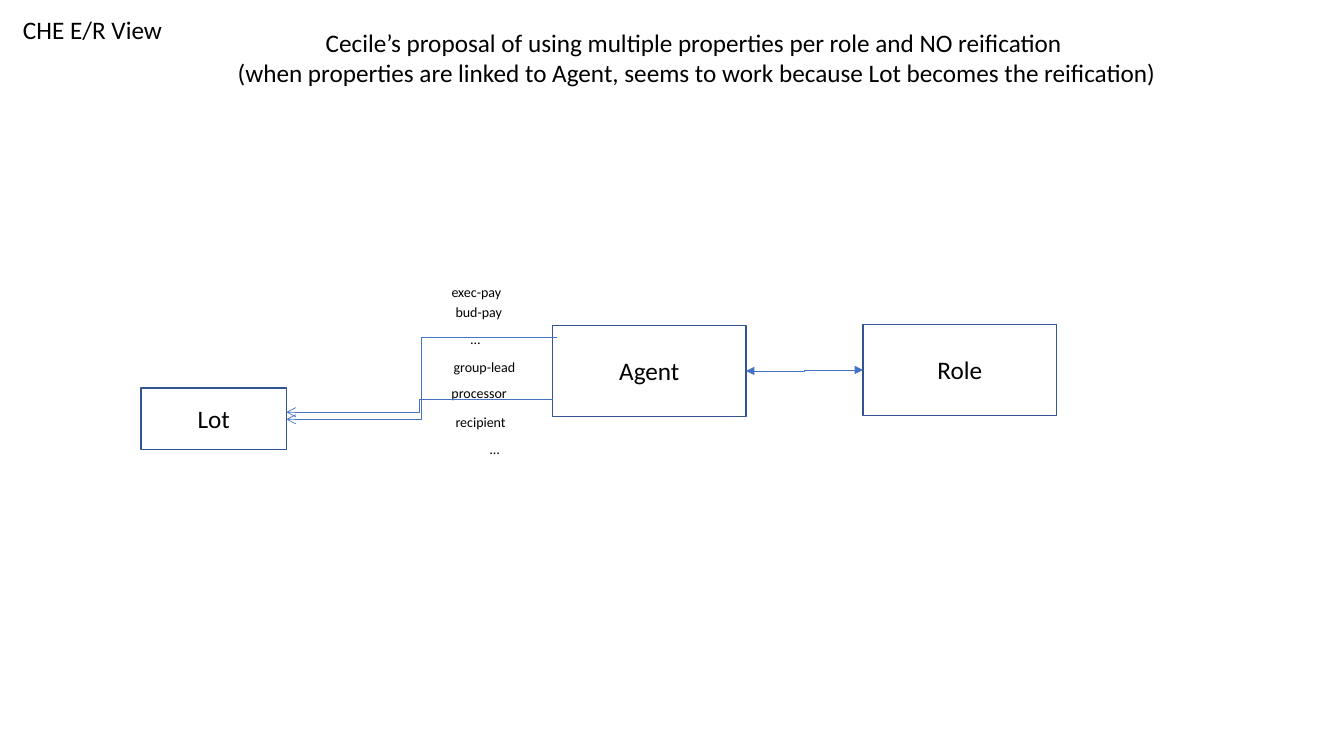
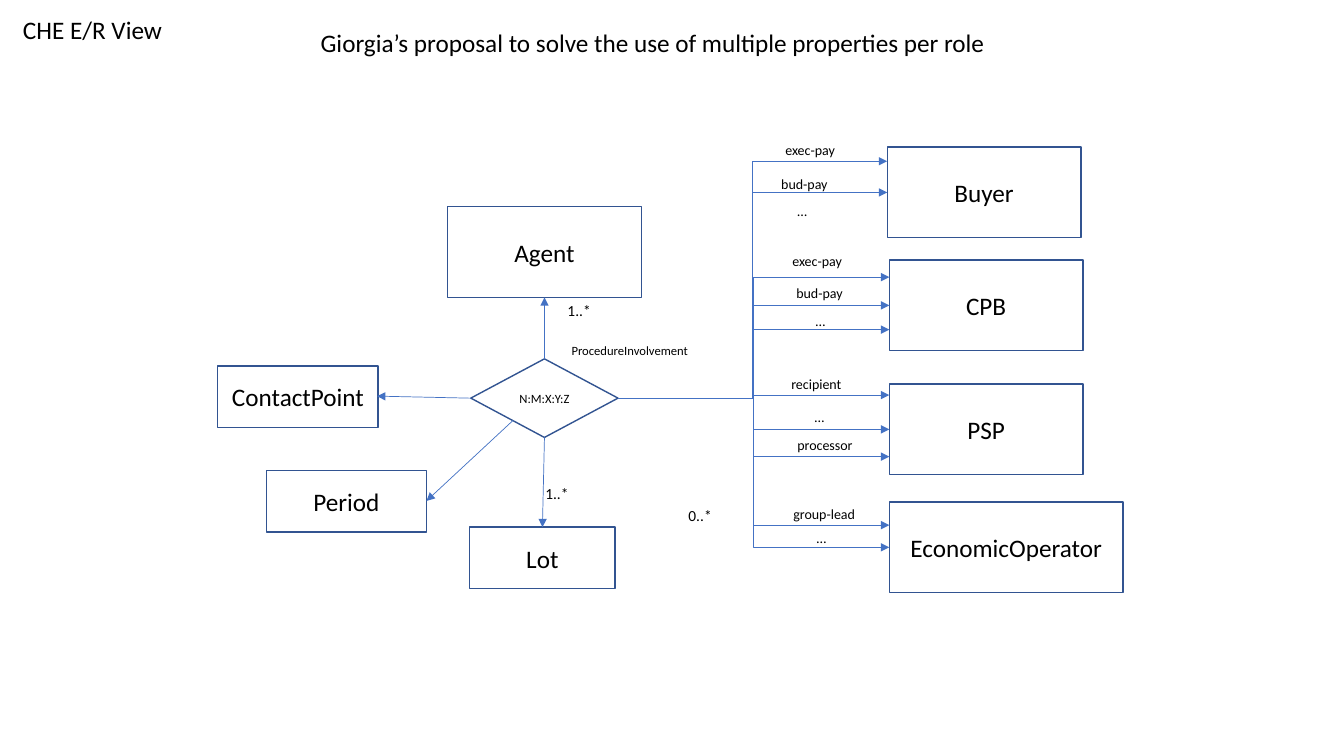
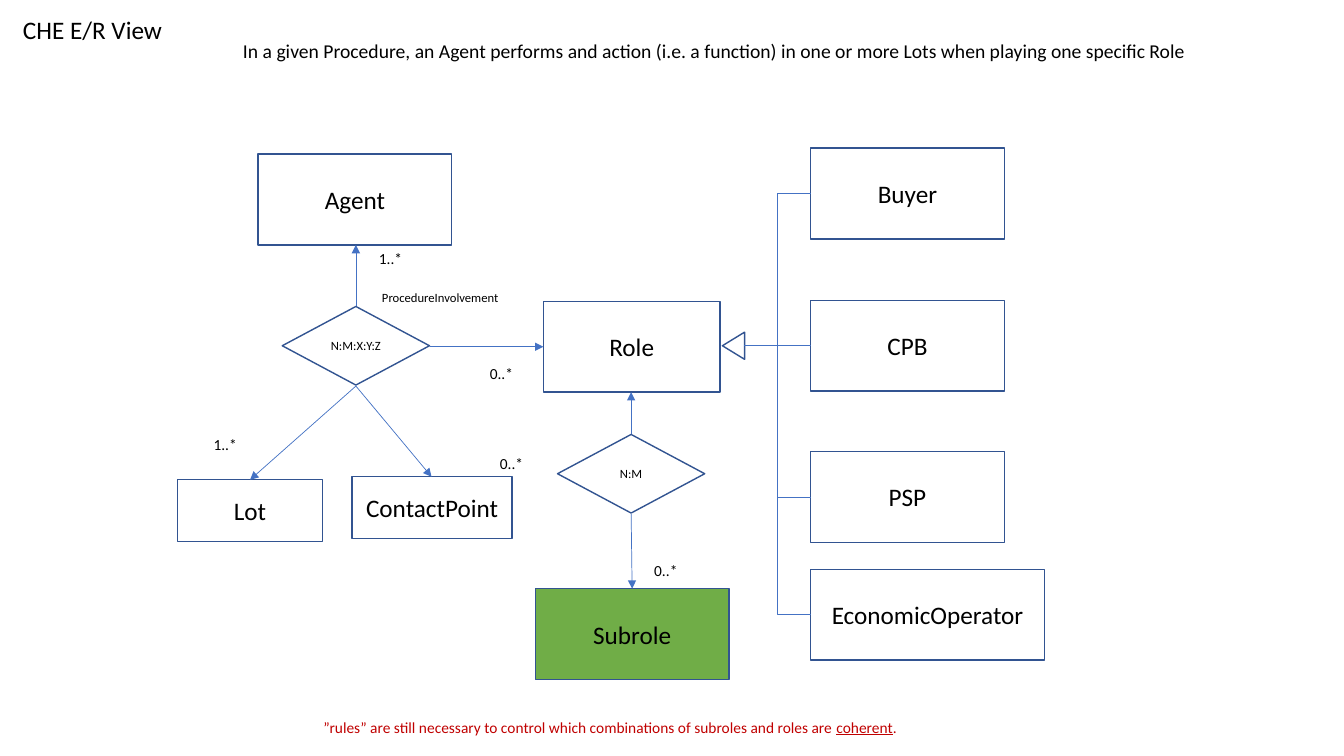
from pptx import Presentation
from pptx.dml.color import RGBColor
from pptx.enum.shapes import MSO_CONNECTOR as CONN, MSO_SHAPE as SHAPE
from pptx.enum.text import MSO_ANCHOR as ANCHOR, MSO_AUTO_SIZE as AUTO, PP_ALIGN as ALIGN
from pptx.oxml.ns import qn
from pptx.util import Inches, Pt
from lxml.etree import SubElement

BLACK = RGBColor(0x00, 0x00, 0x00)
OUTLINE = RGBColor(0x32, 0x54, 0x91)
LINK = RGBColor(0x44, 0x72, 0xC4)
GREEN = RGBColor(0x70, 0xAD, 0x47)
RED = RGBColor(0xC0, 0x00, 0x00)

FONT = "Calibri"
BOX_W, BOX_H, SMALL_H = 1.92, 0.9, 0.61
LOT_W, CONTACT_W, OPERATOR_W = 1.44, 1.59, 2.32
DIAMOND_W, DIAMOND_H = 1.46, 0.78
LABEL_HEIGHTS = {9: 0.25, 10: 0.27, 11: 0.29, 18: 0.4}
LABEL_WIDTHS = {
    "…": 0.31, "recipient": 0.71, "processor": 0.76, "group-lead": 0.82,
    "exec-pay": 0.71, "bud-pay": 0.67, "1..*": 0.44, "0..*": 0.44,
    "ProcedureInvolvement": 1.38, "CHE E/R View": 1.6,
}


def style(p, size, color=BLACK, align=ALIGN.LEFT):
    p.alignment = align
    p.font.name = FONT
    p.font.size = Pt(size)
    p.font.color.rgb = color


def add_label(slide, text, left, top, size=10):
    sp = slide.shapes.add_textbox(Inches(left), Inches(top),
                                  Inches(LABEL_WIDTHS[text]), Inches(LABEL_HEIGHTS[size]))
    tf = sp.text_frame
    tf.word_wrap = False
    tf.auto_size = AUTO.SHAPE_TO_FIT_TEXT
    tf.text = text
    style(tf.paragraphs[0], size)


def add_node(slide, text, left, top, width=BOX_W, height=BOX_H,
             kind=SHAPE.RECTANGLE, size=18, fill=None):
    sp = slide.shapes.add_shape(kind, Inches(left), Inches(top), Inches(width), Inches(height))
    sp.shadow.inherit = False
    if fill is None:
        sp.fill.background()
    else:
        sp.fill.solid()
        sp.fill.fore_color.rgb = fill
    sp.line.color.rgb = OUTLINE
    sp.line.width = Pt(1)
    if text:
        sp.text_frame.text = text
        style(sp.text_frame.paragraphs[0], size, align=ALIGN.CENTER)
    return sp


def add_diamond(slide, text, left, top):
    add_node(slide, text, left, top, DIAMOND_W, DIAMOND_H, SHAPE.DIAMOND, 9)


def add_link(slide, start, end, kind=CONN.STRAIGHT, head=None, tail="triangle"):
    c = slide.shapes.add_connector(kind, *map(Inches, start + end))
    c.line.color.rgb = LINK
    c.line.width = Pt(0.5)
    ln = c.line._ln
    for tag, arrow in (("a:headEnd", head), ("a:tailEnd", tail)):
        if arrow:
            SubElement(ln, qn(tag)).set("type", arrow)
    SubElement(c._element.spPr, qn("a:effectLst"))


def add_slide(prs, lines, left, top, width, height, size=18, align=ALIGN.LEFT):
    slide = prs.slides.add_slide(prs.slide_layouts[5])
    title = slide.shapes.title
    title.left, title.top = Inches(left), Inches(top)
    title.width, title.height = Inches(width), Inches(height)
    tf = title.text_frame
    tf.word_wrap = False
    tf.auto_size = AUTO.SHAPE_TO_FIT_TEXT
    tf.vertical_anchor = ANCHOR.TOP
    tf.text = "\n".join(lines)
    for p in tf.paragraphs:
        style(p, size, align=align)
    add_label(slide, "CHE E/R View", 0.13, 0.09, 18)
    return slide


def build_multiple_properties(prs):
    slide = add_slide(prs, [
        "Cecile’s proposal of using multiple properties per role and NO reification ",
        "(when properties are linked to Agent, seems to work because Lot becomes the reification)",
    ], 2.2, 0.22, 9.42, 0.71, align=ALIGN.CENTER)
    for text, left, top in (
        ("exec-pay", 4.38, 2.76), ("bud-pay", 4.42, 2.96), ("…", 4.57, 3.23),
        ("group-lead", 4.4, 3.51), ("processor", 4.38, 3.77),
        ("recipient", 4.42, 4.05), ("…", 4.76, 4.32),
    ):
        add_label(slide, text, left, top)
    add_node(slide, "Agent", 5.48, 3.23)
    add_node(slide, "Role", 8.56, 3.22)
    add_node(slide, "Lot", 1.4, 3.85, LOT_W, SMALL_H)
    for start, end in (((2.84, 4.16), (5.52, 3.35)), ((2.84, 4.09), (5.48, 3.96))):
        add_link(slide, start, end, CONN.ELBOW, head="arrow", tail=None)
    add_link(slide, (8.56, 3.67), (7.4, 3.68), CONN.ELBOW, head="triangle")


def build_role_properties(prs):
    slide = add_slide(prs, [
        "Giorgia’s proposal to solve the use of multiple properties per role ",
    ], 3.08, 0.22, 7.18, 0.4)
    add_node(slide, "Agent", 4.44, 2.05)
    add_node(slide, "Lot", 4.66, 5.23, LOT_W, SMALL_H)
    add_node(slide, "ContactPoint", 2.16, 3.63, CONTACT_W, SMALL_H)
    add_node(slide, "Period", 2.64, 4.67, CONTACT_W, SMALL_H)
    add_diamond(slide, "N:M:X:Y:Z", 4.67, 3.56)
    for start, end in (
        ((5.4, 4.34), (5.38, 5.23)), ((5.4, 3.56), (5.4, 2.95)),
        ((4.67, 3.95), (3.74, 3.93)), ((5.09, 4.17), (4.23, 4.97)),
    ):
        add_link(slide, start, end)
    for role, left, top, width, arrow_ys in (
        ("Buyer", 8.8, 1.46, BOX_W, (1.6, 1.91)),
        ("CPB", 8.82, 2.58, BOX_W, (2.75, 3.03, 3.27)),
        ("PSP", 8.82, 3.81, BOX_W, (3.92, 4.26, 4.53)),
        ("EconomicOperator", 8.82, 4.98, OPERATOR_W, (5.21, 5.43)),
    ):
        add_node(slide, role, left, top, width)
        for y in arrow_ys:
            add_link(slide, (6.13, 3.95), (left, y), CONN.ELBOW)
    for text, left, top in (
        ("exec-pay", 7.69, 1.35), ("bud-pay", 7.65, 1.69), ("…", 7.81, 1.96),
        ("exec-pay", 7.76, 2.46), ("bud-pay", 7.8, 2.77), ("…", 7.99, 3.05),
        ("recipient", 7.75, 3.68), ("…", 7.98, 4), ("processor", 7.81, 4.28),
        ("group-lead", 7.77, 4.97), ("…", 8, 5.2),
    ):
        add_label(slide, text, left, top)
    for text, left, top in (("1..*", 5.31, 4.75), ("1..*", 5.53, 2.94), ("0..*", 6.73, 4.97)):
        add_label(slide, text, left, top, 11)
    add_label(slide, "ProcedureInvolvement", 5.57, 3.35, 9)


def add_rules_note(slide):
    sp = slide.shapes.add_textbox(Inches(3.11), Inches(7.07), Inches(5.93), Inches(0.29))
    tf = sp.text_frame
    tf.word_wrap = False
    tf.auto_size = AUTO.SHAPE_TO_FIT_TEXT
    p = tf.paragraphs[0]
    style(p, 11, RED)
    for text, underlined in (
        ("”rules” are still necessary to control which combinations of subroles and roles are ", None),
        ("coherent", True),
        (".", None),
    ):
        r = p.add_run()
        r.text = text
        r.font.underline = underlined


def build_subroles(prs):
    slide = add_slide(prs, [
        "In a given Procedure, an Agent performs and action (i.e. a function) "
        "in one or more Lots when playing one specific Role",
    ], 2.31, 0.34, 9.85, 0.34, size=14)
    add_node(slide, "Agent", 2.56, 1.53)
    add_node(slide, "Lot", 1.76, 4.76, LOT_W, SMALL_H)
    add_node(slide, "ContactPoint", 3.49, 4.73, CONTACT_W, SMALL_H)
    add_node(slide, "Role", 5.39, 2.99, 1.75)
    add_node(slide, "Subrole", 5.31, 5.84, fill=GREEN)
    add_diamond(slide, "N:M:X:Y:Z", 2.8, 3.04)
    add_diamond(slide, "N:M", 5.53, 4.31)
    for start, end in (
        ((3.53, 3.83), (2.48, 4.76)), ((3.53, 3.83), (4.28, 4.73)),
        ((3.53, 3.04), (3.53, 2.43)), ((4.26, 3.44), (5.39, 3.44)),
        ((6.26, 5.1), (6.27, 5.84)), ((6.26, 4.31), (6.26, 3.89)),
    ):
        add_link(slide, start, end)
    inheritance = add_node(slide, "", 7.14, 3.32, 0.27, 0.22, SHAPE.ISOSCELES_TRIANGLE)
    inheritance.rotation = 270
    for role, top, width in (
        ("Buyer", 1.47, BOX_W), ("CPB", 2.98, BOX_W), ("PSP", 4.48, BOX_W),
        ("EconomicOperator", 5.65, OPERATOR_W),
    ):
        add_node(slide, role, 8.04, top, width)
        add_link(slide, (7.38, 3.43), (8.04, top + BOX_H / 2), CONN.ELBOW, tail=None)
    for text, left, top in (
        ("1..*", 2.02, 4.27), ("0..*", 4.76, 3.56), ("0..*", 6.39, 5.52),
        ("1..*", 3.66, 2.42), ("0..*", 4.86, 4.46),
    ):
        add_label(slide, text, left, top, 11)
    add_label(slide, "ProcedureInvolvement", 3.69, 2.83, 9)
    add_rules_note(slide)


def main():
    prs = Presentation()
    prs.slide_width, prs.slide_height = Inches(13.33), Inches(7.5)
    build_multiple_properties(prs)
    build_role_properties(prs)
    build_subroles(prs)
    prs.save("out.pptx")


main()
